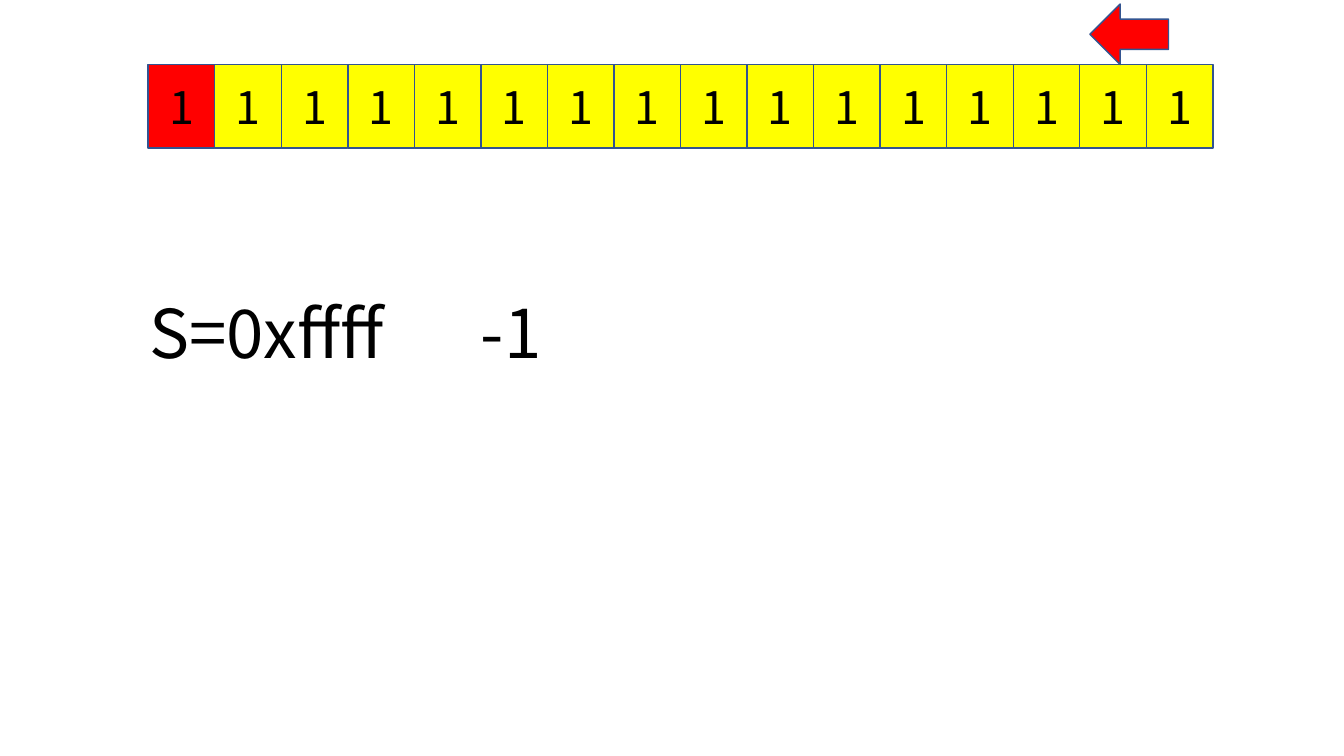
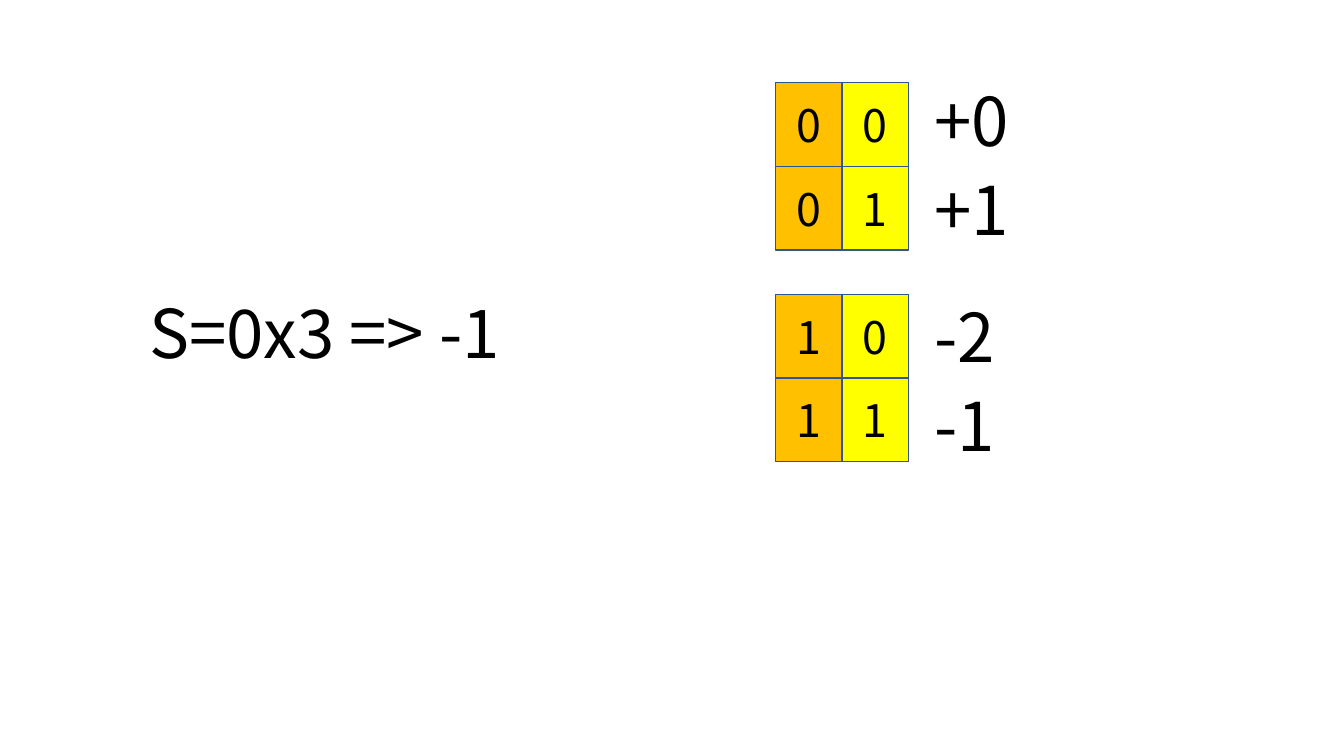
from pptx import Presentation
from pptx.dml.color import RGBColor
from pptx.enum.shapes import MSO_SHAPE
from pptx.enum.text import MSO_ANCHOR, MSO_AUTO_SIZE, PP_ALIGN
from pptx.util import Inches, Pt

RECT, ARROW = MSO_SHAPE.RECTANGLE, MSO_SHAPE.LEFT_ARROW
TOP, MIDDLE = MSO_ANCHOR.TOP, MSO_ANCHOR.MIDDLE
LEFT, CENTER = PP_ALIGN.LEFT, PP_ALIGN.CENTER
FIXED = MSO_AUTO_SIZE.NONE
TITLE_ONLY = 5

COLORS = {
    "red": "FF0000",
    "yellow": "FFFF00",
    "orange": "FFC000",
    "edge": "325491",
    "text": "000000",
}
FONT = "Noto Sans CJK KR"
CELL_W, CELL_H = 0.66, 0.83
LABEL_H = 0.91


def color(name):
    """Return the named colour."""
    return RGBColor.from_string(COLORS[name])


def write(frame, text, size, align, anchor):
    """Put one styled line of text in a frame."""
    frame.text = text
    frame.word_wrap = False
    frame.auto_size = FIXED
    frame.vertical_anchor = anchor
    para = frame.paragraphs[0]
    para.alignment = align
    para.font.name = FONT
    para.font.size = Pt(size)
    para.font.color.rgb = color("text")


def block(slide, kind, box, fill):
    """Draw a filled shape with the shared edge."""
    shape = slide.shapes.add_shape(kind, *map(Inches, box))
    shape.shadow.inherit = False
    shape.fill.solid()
    shape.fill.fore_color.rgb = color(fill)
    shape.line.color.rgb = color("edge")
    shape.line.width = Pt(1)
    return shape


def bit_row(slide, left, top, bits, sign):
    """Draw a row of bits with the sign bit in its own colour."""
    for i, bit in enumerate(bits):
        box = (left + i * CELL_W, top, CELL_W, CELL_H)
        cell = block(slide, RECT, box, "yellow" if i else sign)
        write(cell.text_frame, bit, 32, CENTER, MIDDLE)


def label(slide, left, top, width, text):
    """Add a large value beside the bits."""
    box = slide.shapes.add_textbox(*map(Inches, (left, top, width, LABEL_H)))
    write(box.text_frame, text, 48, LEFT, TOP)


def new_slide(deck, title, width):
    """Add a slide with its expression as title."""
    slide = deck.slides.add_slide(deck.slide_layouts[TITLE_ONLY])
    head = slide.shapes.title
    head.left, head.top = Inches(1.38), Inches(2.84)
    head.width, head.height = Inches(width), Inches(LABEL_H)
    write(head.text_frame, title, 48, LEFT, TOP)
    return slide


def word_slide(deck):
    """Show a sixteen-bit word of ones and its value."""
    slide = new_slide(deck, "S=0xffff", 2.58)
    bit_row(slide, 1.47, 0.64, "1" * 16, "red")
    label(slide, 4.67, 2.84, 0.85, "-1")
    block(slide, ARROW, (10.81, 0.04, 0.78, 0.6), "red")


def pair_slide(deck):
    """Show each two-bit pattern beside its signed value."""
    slide = new_slide(deck, "S=0x3 => -1", 4.16)
    groups = [
        (0.82, 0.74, 1.05, [("00", "+0"), ("01", "+1")]),
        (2.92, 2.88, 0.85, [("10", "-2"), ("11", "-1")]),
    ]
    for top, text_top, width, rows in groups:
        for i, (bits, value) in enumerate(rows):
            bit_row(slide, 7.69, top + i * CELL_H, bits, "orange")
            label(slide, 9.17, text_top + i * 0.88, width, value)


def main():
    """Build and save the deck."""
    deck = Presentation()
    deck.slide_width, deck.slide_height = Inches(13.33), Inches(7.5)
    word_slide(deck)
    pair_slide(deck)
    deck.save("out.pptx")


if __name__ == "__main__":
    main()
